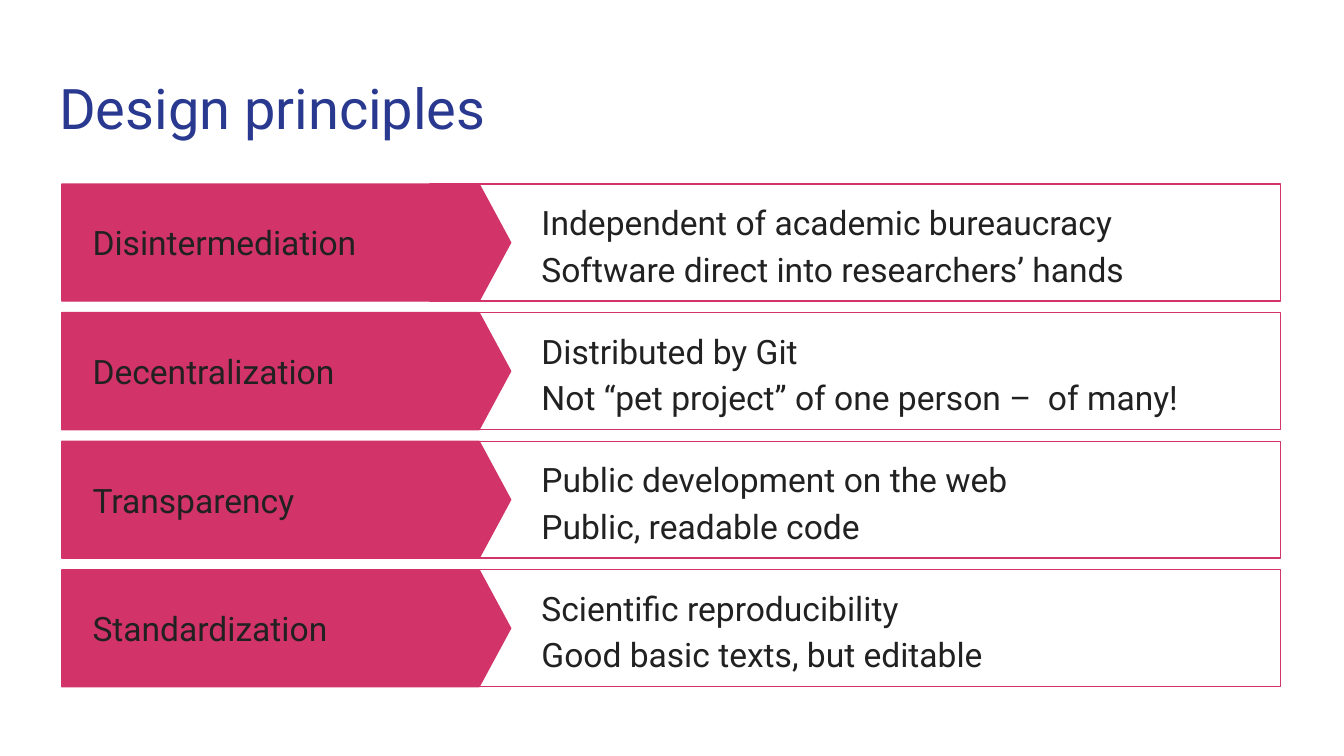
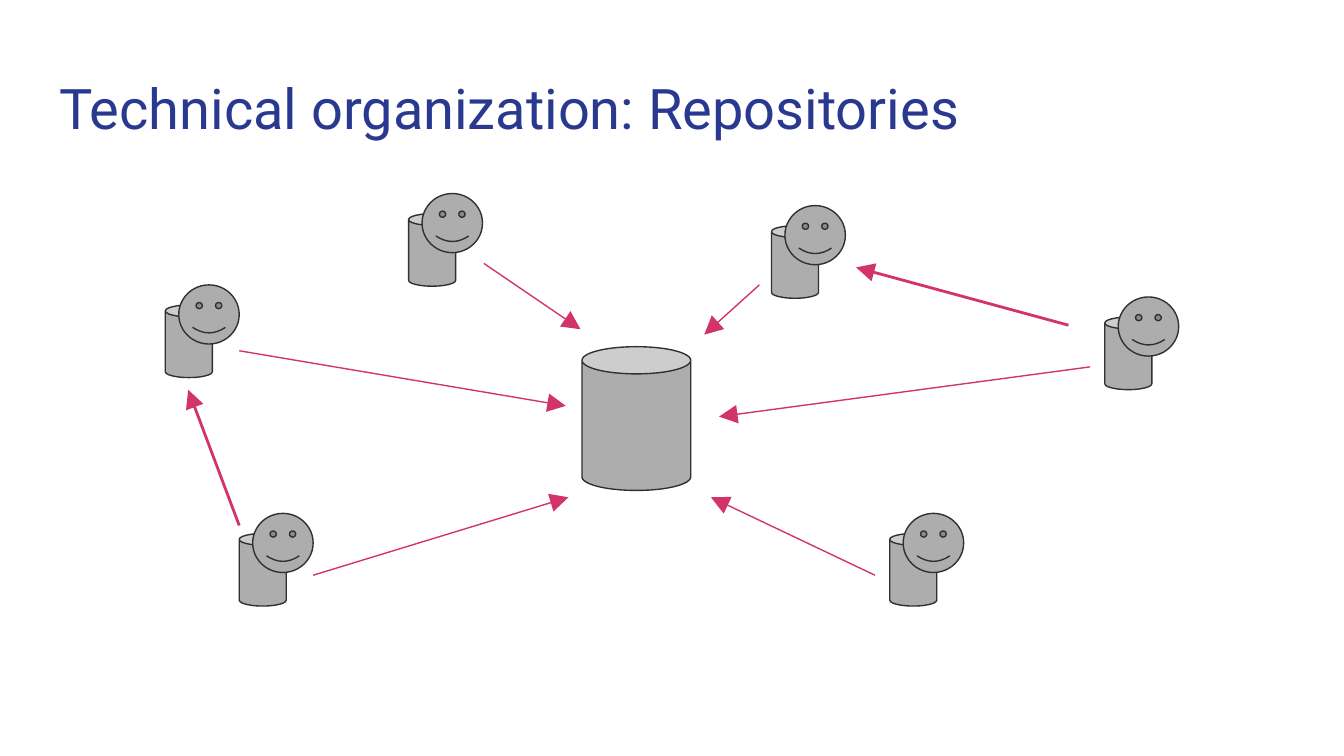
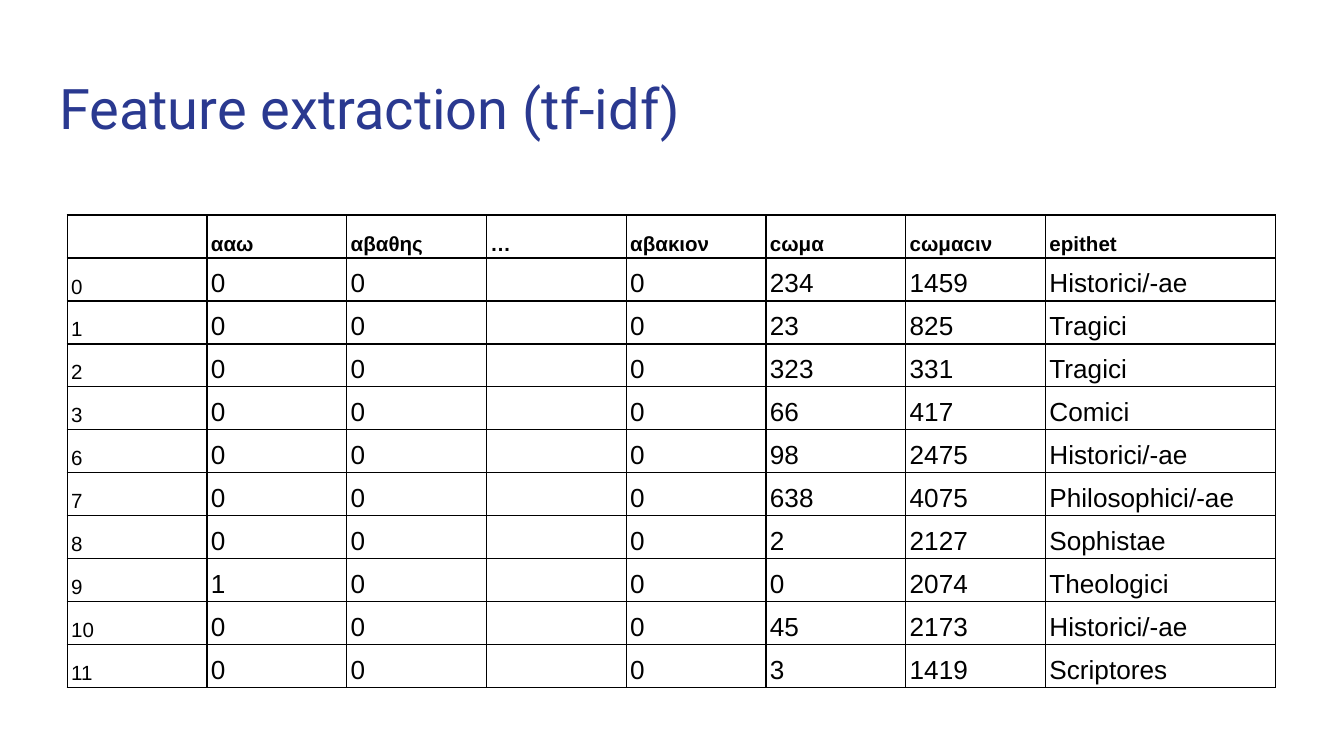
from lxml.etree import SubElement
from pptx import Presentation
from pptx.dml.color import RGBColor
from pptx.enum.shapes import MSO_CONNECTOR, MSO_SHAPE
from pptx.enum.text import MSO_ANCHOR, MSO_AUTO_SIZE, PP_ALIGN
from pptx.oxml.ns import qn
from pptx.util import Inches, Pt

PRINCIPLES = [
    ("Disintermediation", ["Independent of academic bureaucracy",
                           "Software direct into researchers’ hands"]),
    ("Decentralization", ["Distributed by Git",
                          "Not “pet project” of one person –  of many!"]),
    ("Transparency", ["Public development on the web", "Public, readable code"]),
    ("Standardization", ["Scientific reproducibility", "Good basic texts, but editable"]),
]

CONTRIBUTORS = [(1.78, 3.82), (1.23, 2.12), (6.62, 3.82),
                (5.74, 1.53), (3.04, 1.44), (8.22, 2.21)]
CENTRAL_PUSHES = [
    ((1.78, 2.61), (4.21, 3.02)),
    ((2.33, 4.28), (4.23, 3.7)),
    ((3.6, 1.96), (4.32, 2.45)),
    ((5.65, 2.12), (5.24, 2.49)),
    ((8.11, 2.73), (5.35, 3.1)),
    ((6.51, 4.28), (5.29, 3.7)),
]
PEER_PUSHES = [((1.78, 3.91), (1.4, 2.9)), ((7.95, 2.42), (6.37, 1.99))]

FEATURES = [
    ("", "ααω", "αβαθης", "…", "αβακιον", "ϲωμα", "ϲωμαϲιν", "epithet"),
    ("0", "0", "0", "", "0", "234", "1459", "Historici/-ae"),
    ("1", "0", "0", "", "0", "23", "825", "Tragici"),
    ("2", "0", "0", "", "0", "323", "331", "Tragici"),
    ("3", "0", "0", "", "0", "66", "417", "Comici"),
    ("6", "0", "0", "", "0", "98", "2475", "Historici/-ae"),
    ("7", "0", "0", "", "0", "638", "4075", "Philosophici/-ae"),
    ("8", "0", "0", "", "0", "2", "2127", "Sophistae"),
    ("9", "1", "0", "", "0", "0", "2074", "Theologici"),
    ("10", "0", "0", "", "0", "45", "2173", "Historici/-ae"),
    ("11", "0", "0", "", "0", "3", "1419", "Scriptores"),
]
FEATURE_WIDTHS = [1.04] * 7 + [1.71]
FEATURE_ROW_HEIGHT = 0.32

WHITE = RGBColor(0xFF, 0xFF, 0xFF)
BLACK = RGBColor(0, 0, 0)
NAVY = RGBColor(0x2A, 0x39, 0x90)
PINK = RGBColor(0xD2, 0x33, 0x69)
INK = RGBColor(0x21, 0x21, 0x21)
GRAY = RGBColor(0xAD, 0xAD, 0xAD)
OUTLINE = RGBColor(0x30, 0x30, 0x30)


def set_font(paragraph, size, color, name="Roboto", bold=False):
    font = paragraph.font
    font.name, font.size, font.bold = name, Pt(size), bold
    font.color.rgb = color


def set_frame(frame, anchor):
    frame.word_wrap = True
    frame.auto_size = MSO_AUTO_SIZE.NONE
    frame.vertical_anchor = anchor
    frame.margin_left = frame.margin_right = Inches(0.1)
    frame.margin_top = frame.margin_bottom = Inches(0.1)


def add_slide(prs, heading):
    slide = prs.slides.add_slide(prs.slide_layouts[5])
    title = slide.shapes.title
    title.left, title.top = Inches(0.34), Inches(0.45)
    title.width, title.height = Inches(9.32), Inches(0.66)
    title.text = heading
    set_frame(title.text_frame, MSO_ANCHOR.TOP)
    title.text_frame.paragraphs[0].alignment = PP_ALIGN.LEFT
    set_font(title.text_frame.paragraphs[0], 30, NAVY)
    return slide


def add_outline(shapes, kind, box, fill, line):
    shape = shapes.add_shape(kind, *map(Inches, box))
    shape.shadow.inherit = False
    shape.fill.solid()
    shape.fill.fore_color.rgb = fill
    shape.line.color.rgb = line
    shape.line.width = Pt(0.75)
    return shape


def add_text(shapes, box, lines):
    frame = shapes.add_textbox(*map(Inches, box)).text_frame
    set_frame(frame, MSO_ANCHOR.MIDDLE)
    frame.text = "\n".join(lines)
    for paragraph in frame.paragraphs:
        set_font(paragraph, 18, INK)
    return frame


def add_arrow(shapes, start, end, width):
    arrow = shapes.add_connector(MSO_CONNECTOR.STRAIGHT, *map(Inches, start + end))
    arrow.line.color.rgb = PINK
    arrow.line.width = Pt(width)
    SubElement(arrow.line._get_or_add_ln(), qn("a:tailEnd"), type="triangle", w="lg", len="lg")
    SubElement(arrow._element.spPr, qn("a:effectLst"))


def add_borders(cell):
    properties = cell._tc.get_or_add_tcPr()
    for side in ("a:lnL", "a:lnR", "a:lnT", "a:lnB"):
        border = SubElement(properties, qn(side), w=str(Pt(0.75)))
        SubElement(SubElement(border, qn("a:solidFill")), qn("a:srgbClr"), val=str(BLACK))


def build_principles(prs):
    shapes = add_slide(prs, "Design principles").shapes
    first_top, last_top, height = 1.37, 4.24, 0.87
    pitch = (last_top - first_top) / (len(PRINCIPLES) - 1)
    for index, (principle, reasons) in enumerate(PRINCIPLES):
        top = first_top + index * pitch
        band = shapes.add_group_shape().shapes
        add_outline(band, MSO_SHAPE.RECTANGLE, (3.2, top, 6.33, height), WHITE, PINK)
        pointer = add_outline(band, MSO_SHAPE.PENTAGON, (0.46, top, 3.34, height), PINK, PINK)
        pointer.adjustments[0] = 0.27
        add_text(shapes, (0.59, top, 2.65, height), [principle])
        for paragraph in add_text(shapes, (3.81, top, 5.59, height), reasons).paragraphs:
            paragraph.line_spacing = 1.15
            indents = paragraph._p.get_or_add_pPr()
            indents.set("marL", str(Inches(0.5)))
            indents.set("indent", str(Inches(-0.38)))


def build_repositories(prs):
    shapes = add_slide(prs, "Technical organization: Repositories").shapes
    add_outline(shapes, MSO_SHAPE.CAN, (4.33, 2.58, 0.81, 1.07), GRAY, OUTLINE)
    for left, top in CONTRIBUTORS:
        person = shapes.add_group_shape().shapes
        add_outline(person, MSO_SHAPE.CAN, (left, top + 0.15, 0.35, 0.54), GRAY, OUTLINE)
        add_outline(person, MSO_SHAPE.SMILEY_FACE, (left + 0.1, top, 0.45, 0.44), GRAY, OUTLINE)
    for pushes, width in ((CENTRAL_PUSHES, 0.75), (PEER_PUSHES, 1.5)):
        for start, end in pushes:
            add_arrow(shapes, start, end, width)


def build_features(prs):
    shapes = add_slide(prs, "Feature extraction (tf-idf)").shapes
    table = shapes.add_table(
        len(FEATURES), len(FEATURE_WIDTHS), Inches(0.5), Inches(1.6),
        Inches(sum(FEATURE_WIDTHS)), Inches(FEATURE_ROW_HEIGHT * len(FEATURES))).table
    table.first_row = table.horz_banding = False
    for column, width in zip(table.columns, FEATURE_WIDTHS):
        column.width = Inches(width)
    for row_index, record in enumerate(FEATURES):
        table.rows[row_index].height = Inches(FEATURE_ROW_HEIGHT)
        for column_index, value in enumerate(record):
            cell = table.cell(row_index, column_index)
            add_borders(cell)
            cell.fill.solid()
            cell.fill.fore_color.rgb = WHITE
            cell.vertical_anchor = MSO_ANCHOR.BOTTOM
            cell.margin_left = cell.margin_right = Inches(0.03)
            cell.margin_top = cell.margin_bottom = Inches(0.02)
            cell.text = value
            paragraph = cell.text_frame.paragraphs[0]
            is_label = row_index == 0 or column_index == 0
            set_font(paragraph, 11 if is_label else 14, BLACK, "Arial", row_index == 0)
            if value:
                paragraph.line_spacing = 1.15


def main():
    prs = Presentation()
    prs.slide_width = Inches(10)
    prs.slide_height = Inches(10 * 9 / 16)
    build_principles(prs)
    build_repositories(prs)
    build_features(prs)
    prs.save("out.pptx")


if __name__ == "__main__":
    main()
